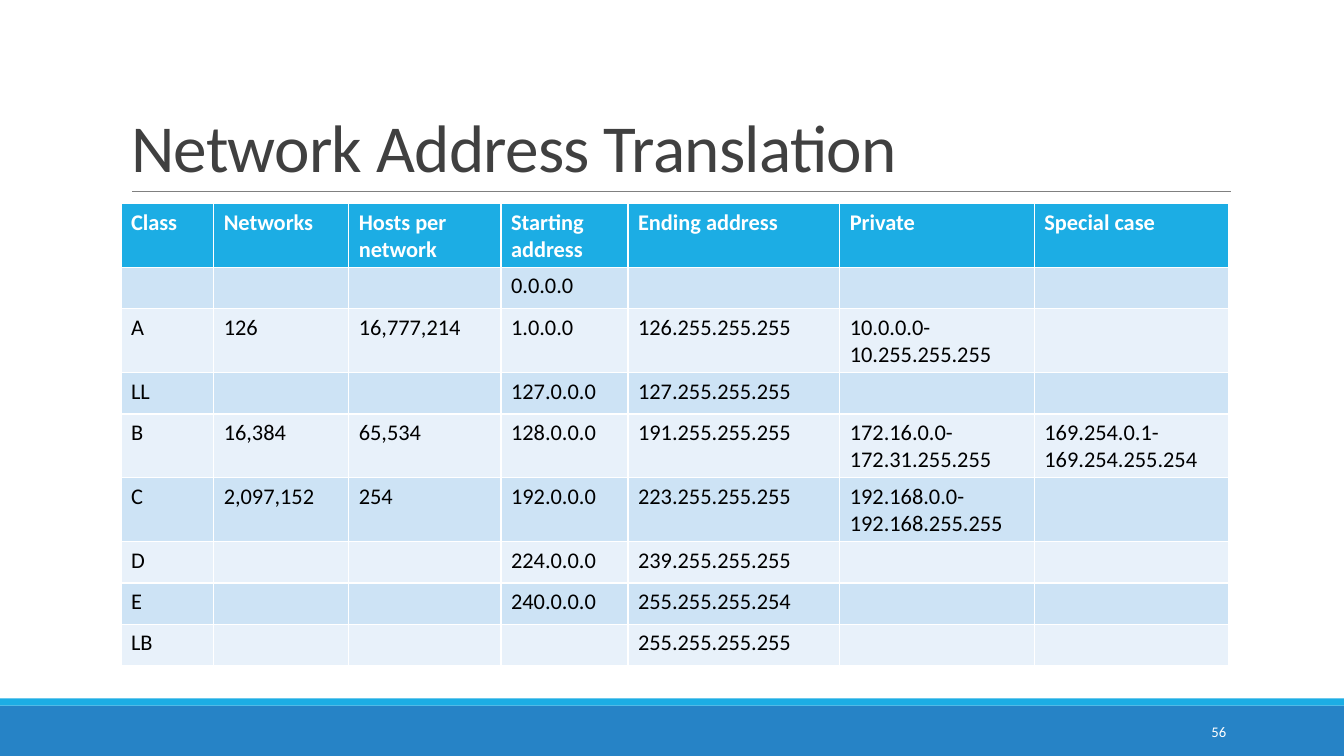
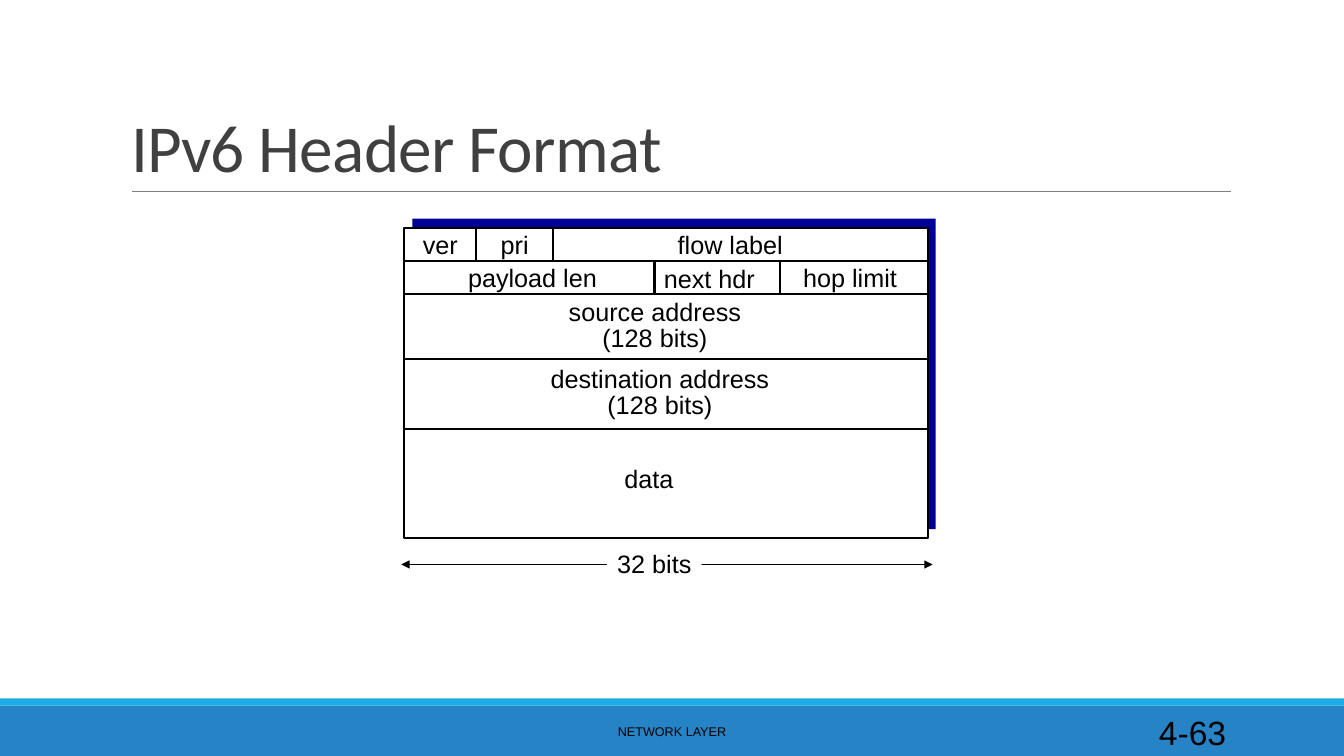
from dataclasses import dataclass
from lxml.etree import SubElement
from pptx import Presentation
from pptx.dml.color import RGBColor
from pptx.enum.shapes import MSO_CONNECTOR, MSO_SHAPE
from pptx.enum.text import MSO_ANCHOR, MSO_AUTO_SIZE, PP_ALIGN
from pptx.oxml.ns import qn
from pptx.util import Inches, Pt


@dataclass(frozen=True)
class Theme:
    blue: str = "2683C6"
    cyan: str = "1CADE4"
    navy: str = "000099"
    rule: str = "808080"
    title: str = "404040"
    white: str = "FFFFFF"
    black: str = "000000"
    bands: tuple = ("E8F1FA", "CDE3F5")
    sans: str = "Calibri"
    arial: str = "Arial"
    head: float = 48
    cell: float = 16
    field: float = 18
    foot: float = 9
    page: float = 10.5
    big: float = 24


T = Theme()
WIDE, HIGH = 13.33, 7.5
LEFT, SPAN = 0.09 * WIDE, 11
color = RGBColor.from_string


def line(shapes, x1, y1, x2, y2, ink, weight):
    rule = shapes.add_connector(
        MSO_CONNECTOR.STRAIGHT, Inches(x1), Inches(y1), Inches(x2), Inches(y2))
    rule.line.color.rgb = color(ink)
    rule.line.width = Pt(weight)
    SubElement(rule.element.spPr, qn("a:effectLst"))
    return rule


def label(shapes, text, x, y, w, h, size, font=T.arial, ink=T.black,
          align=PP_ALIGN.CENTER):
    """Add a text box centred in height; two lines are set tight."""
    box = shapes.add_textbox(Inches(x), Inches(y), Inches(w), Inches(h))
    frame = box.text_frame
    frame.word_wrap = True
    frame.vertical_anchor = MSO_ANCHOR.MIDDLE
    frame.margin_top = frame.margin_bottom = 0
    frame.text = text
    for para in frame.paragraphs:
        para.alignment = align
        para.font.size = Pt(size)
        para.font.name = font
        para.font.color.rgb = color(ink)
        if "\n" in text:
            para.line_spacing = 0.85
    return box


deck = Presentation()
deck.slide_width, deck.slide_height = Inches(WIDE), Inches(HIGH)
layout = deck.slide_layouts[5]
spot = layout.placeholders[0]
spot.left, spot.top = Inches(LEFT), Inches(0.31)
spot.width, spot.height = Inches(SPAN), Inches(1.59)

# Titles
slides = []
for name in ("Network Address Translation", "IPv6 Header Format"):
    slide = deck.slides.add_slide(layout)
    frame = slide.shapes.title.text_frame
    frame.text = name
    frame.auto_size = MSO_AUTO_SIZE.NONE
    frame.vertical_anchor = MSO_ANCHOR.BOTTOM
    para = frame.paragraphs[0]
    para.alignment = PP_ALIGN.LEFT
    para.line_spacing = 0.85
    para.font.size = Pt(T.head)
    para.font.name = T.sans
    para.font.color.rgb = color(T.title)
    para.runs[0].font.bold = False
    para.runs[0]._r.get_or_add_rPr().set("spc", "-50")
    slides.append(slide)
nat, ipv6 = (slide.shapes for slide in slides)

# Shared bands and title rule, moved to the layout
for top, tall, fill in ((7, 0.5, T.blue), (6.93, 0.07, T.cyan)):
    band = nat.add_shape(
        MSO_SHAPE.RECTANGLE, 0, Inches(top), deck.slide_width, Inches(tall))
    band.shadow.inherit = False
    band.fill.solid()
    band.fill.fore_color.rgb = color(fill)
    band.line.fill.background()
    layout.shapes.element.append(band.element)
rule = line(nat, 1.31, 1.9, 12.21, 1.9, T.rule, 0.5)
layout.shapes.element.append(rule.element)

# Footers
for shapes, text, x, w, size, font, ink, align in (
    (nat, "56", 10.83, 1.43, T.page, T.sans, T.white, PP_ALIGN.RIGHT),
    (ipv6, "NETWORK LAYER", 4.03, 5.27, T.foot, T.arial, T.black,
     PP_ALIGN.CENTER),
    (ipv6, "4-63", 10.83, 1.43, T.big, T.arial, T.black, PP_ALIGN.RIGHT),
):
    label(shapes, text, x, 7.06, w, 0.4, size, font, ink, align)

# Address classes
ROWS = (
    ("Class", "Networks", "Hosts per network", "Starting address",
     "Ending address", "Private", "Special case"),
    ("", "", "", "0.0.0.0", "", "", ""),
    ("A", "126", "16,777,214", "1.0.0.0", "126.255.255.255",
     "10.0.0.0-10.255.255.255", ""),
    ("LL", "", "", "127.0.0.0", "127.255.255.255", "", ""),
    ("B", "16,384", "65,534", "128.0.0.0", "191.255.255.255",
     "172.16.0.0-172.31.255.255", "169.254.0.1-169.254.255.254"),
    ("C", "2,097,152", "254", "192.0.0.0", "223.255.255.255",
     "192.168.0.0-192.168.255.255", ""),
    ("D", "", "", "224.0.0.0", "239.255.255.255", "", ""),
    ("E", "", "", "240.0.0.0", "255.255.255.254", "", ""),
    ("LB", "", "", "", "255.255.255.255", "", ""),
)
COLS = (0.92, 1.34, 1.51, 1.26, 2.1, 1.93, 1.93)
STEP = 0.41
table = nat.add_table(
    len(ROWS), len(COLS), Inches(LEFT), Inches(2.02), Inches(SPAN),
    Inches(STEP * len(ROWS))).table
for col, width in zip(table.columns, COLS):
    col.width = Inches(width)
for r, row in enumerate(ROWS):
    table.rows[r].height = Inches(STEP)
    for c, text in enumerate(row):
        cell = table.cell(r, c)
        cell.fill.solid()
        cell.fill.fore_color.rgb = color(T.bands[r % 2] if r else T.cyan)
        cell.text = text
        para = cell.text_frame.paragraphs[0]
        para.font.size = Pt(T.cell)
        para.font.name = T.sans
        para.font.bold = r == 0
        para.font.color.rgb = color(T.black if r else T.white)

# Header frame: 32 bit columns, rows in units of one text line
X, Y, WIDTH, UNIT = 4.01, 2.26, 5.19, 0.33
BIT = WIDTH / 32
EDGES = [Y + UNIT * n for n in (0, 1, 2, 3.94, 6.06, 9.33)]
for dx, dy, fill, edge in ((0.08, -0.09, T.navy, None),
                           (0, 0, T.white, T.black)):
    box = ipv6.add_shape(
        MSO_SHAPE.RECTANGLE, Inches(X + dx), Inches(Y + dy),
        Inches(WIDTH), Inches(EDGES[-1] - Y))
    box.shadow.inherit = False
    box.fill.solid()
    box.fill.fore_color.rgb = color(fill)
    if edge:
        box.line.color.rgb = color(edge)
        box.line.width = Pt(1.5)
    else:
        box.line.fill.background()
for y in EDGES[1:-1]:
    line(ipv6, X, y, X + WIDTH, y, T.black, 1.5)

# Text, row, first and last bit, shift across and down
FIELDS = (
    ("ver", 0, 0, 4.4, 0, 0),
    ("pri", 0, 4.4, 9.1, 0, 0),
    ("flow label", 0, 9.1, 32, -0.1, 0),
    ("payload len", 1, 0, 15.3, 0.03, 0),
    ("next hdr", 1, 15.3, 23, -0.08, 0.01),
    ("hop limit", 1, 23, 32, -0.04, 0),
    ("source address\n(128 bits)", 2, 0, 32, -0.11, 0),
    ("destination address\n(128 bits)", 3, 0, 32, -0.06, 0),
    ("data", 4, 0, 32, -0.17, -0.05),
)
for text, row, first, last, dx, dy in FIELDS:
    top, foot = EDGES[row:row + 2]
    left = X + first * BIT
    if first:
        line(ipv6, left, top, left, foot, T.black, 1.5)
    box = label(ipv6, text, left + dx, top + dy, (last - first) * BIT,
                foot - top, T.field)
    box.text_frame.word_wrap = False

# Width arrow
arrow = line(ipv6, 3.98, 5.6, 9.25, 5.6, T.black, 0.75)
for end in ("a:headEnd", "a:tailEnd"):
    SubElement(arrow.line._get_or_add_ln(), qn(end), type="triangle")
bits = label(ipv6, "32 bits", 6.02, 5.39, 0.94, 0.4, T.field)
bits.text_frame.word_wrap = False
bits.fill.solid()
bits.fill.fore_color.rgb = color(T.white)

deck.save("out.pptx")
